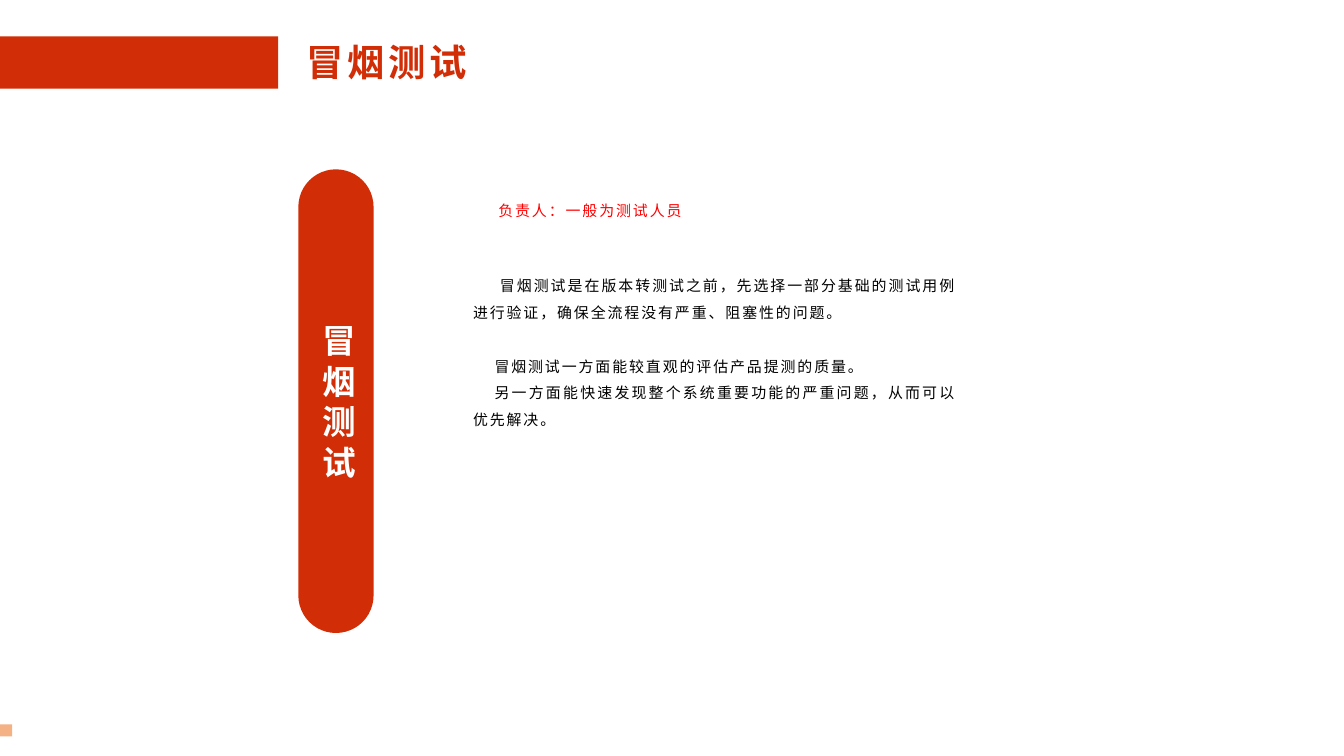
from pptx import Presentation
from pptx.dml.color import RGBColor
from pptx.enum.shapes import MSO_SHAPE
from pptx.enum.text import MSO_ANCHOR, MSO_AUTO_SIZE, PP_ALIGN
from pptx.oxml.ns import qn
from pptx.util import Inches, Pt

RECT, PILL = MSO_SHAPE.RECTANGLE, MSO_SHAPE.ROUNDED_RECTANGLE
MIDDLE, TOP = MSO_ANCHOR.MIDDLE, MSO_ANCHOR.TOP
LEFT, CENTER, JUSTIFY = PP_ALIGN.LEFT, PP_ALIGN.CENTER, PP_ALIGN.JUSTIFY
FIXED = MSO_AUTO_SIZE.NONE

# Content
TITLE = "冒烟测试"
OWNER = "负责人：一般为测试人员"
# Text, first-line indent in inches, space before in points
BODY = [
    ("冒烟测试是在版本转测试之前，先选择一部分基础的测试用例"
     "进行验证，确保全流程没有严重、阻塞性的问题。", 0.2, 0),
    ("冒烟测试一方面能较直观的评估产品提测的质量。", 0.16, 14.4),
    ("另一方面能快速发现整个系统重要功能的严重问题，从而可以优先解决。", 0.16, 0),
]

THEME = {
    "font": "Noto Sans CJK SC",
    "red": "D12D07", "peach": "F4B183", "white": "FFFFFF",
    "black": "000000", "alert": "FF0000",
    "title": 20, "pill": 18, "body": 8,
    "pill_line": 21.7, "body_line": 14.4,
}


def color(key):
    return RGBColor.from_string(THEME[key])


def place(shape, *box):
    shape.left, shape.top, shape.width, shape.height = map(Inches, box)


def add_block(slide, kind, fill, *box):
    shape = slide.shapes.add_shape(kind, *map(Inches, box))
    shape.shadow.inherit = False
    shape.fill.solid()
    shape.fill.fore_color.rgb = color(fill)
    shape.line.fill.background()
    return shape


def set_frame(shape, anchor):
    frame = shape.text_frame
    frame.word_wrap = True
    frame.auto_size = FIXED
    frame.vertical_anchor = anchor
    return frame


def write(para, text, size, ink, align=LEFT, bold=False, gap=0):
    para.alignment = align
    run = para.add_run()
    run.text = text
    font = run.font
    font.name, font.size, font.bold = THEME["font"], Pt(THEME[size]), bold
    font.color.rgb = color(ink)
    props = font._element
    props.set("spc", str(gap * 100))
    east = props.makeelement(qn("a:ea"), {"typeface": THEME["font"]})
    props.find(qn("a:latin")).addnext(east)


# A 16:9 slide
deck = Presentation()
deck.slide_width = Inches(10)
deck.slide_height = Inches(10) * 9 // 16
slide = deck.slides.add_slide(deck.slide_layouts[5])

# Title and its bar
add_block(slide, RECT, "red", 0, 0.27, 2.07, 0.39)
title = slide.shapes.title
place(title, 2.18, 0.24, 2.47, 0.44)
frame = set_frame(title, MIDDLE)
write(frame.paragraphs[0], TITLE, "title", "red", bold=True, gap=2)

# Pill, narrow enough to stack one character a line
pill = add_block(slide, PILL, "red", 2.22, 1.26, 0.56, 3.45)
pill.adjustments[0] = 0.5
para = set_frame(pill, MIDDLE).paragraphs[0]
para.line_spacing = Pt(THEME["pill_line"])
write(para, TITLE, "pill", "white", CENTER, bold=True)

# Corner mark
add_block(slide, RECT, "peach", 0, 5.39, 0.09, 0.09)

# Body text
body = slide.shapes.add_textbox(*map(Inches, (3.52, 1.99, 3.6, 1.92)))
frame = set_frame(body, TOP)
frame.margin_left = frame.margin_right = 0
frame.margin_top = frame.margin_bottom = 0
for i, (text, indent, before) in enumerate(BODY):
    para = frame.add_paragraph() if i else frame.paragraphs[0]
    para.line_spacing = Pt(THEME["body_line"])
    if before:
        para.space_before = Pt(before)
    write(para, text, "body", "black", JUSTIFY, gap=1)
    para._p.get_or_add_pPr().set("indent", str(Inches(indent)))

# Owner line
owner = slide.shapes.add_textbox(*map(Inches, (3.61, 1.45, 5, 0.23)))
frame = set_frame(owner, MIDDLE)
write(frame.paragraphs[0], OWNER, "body", "alert", gap=1)

deck.save("out.pptx")
